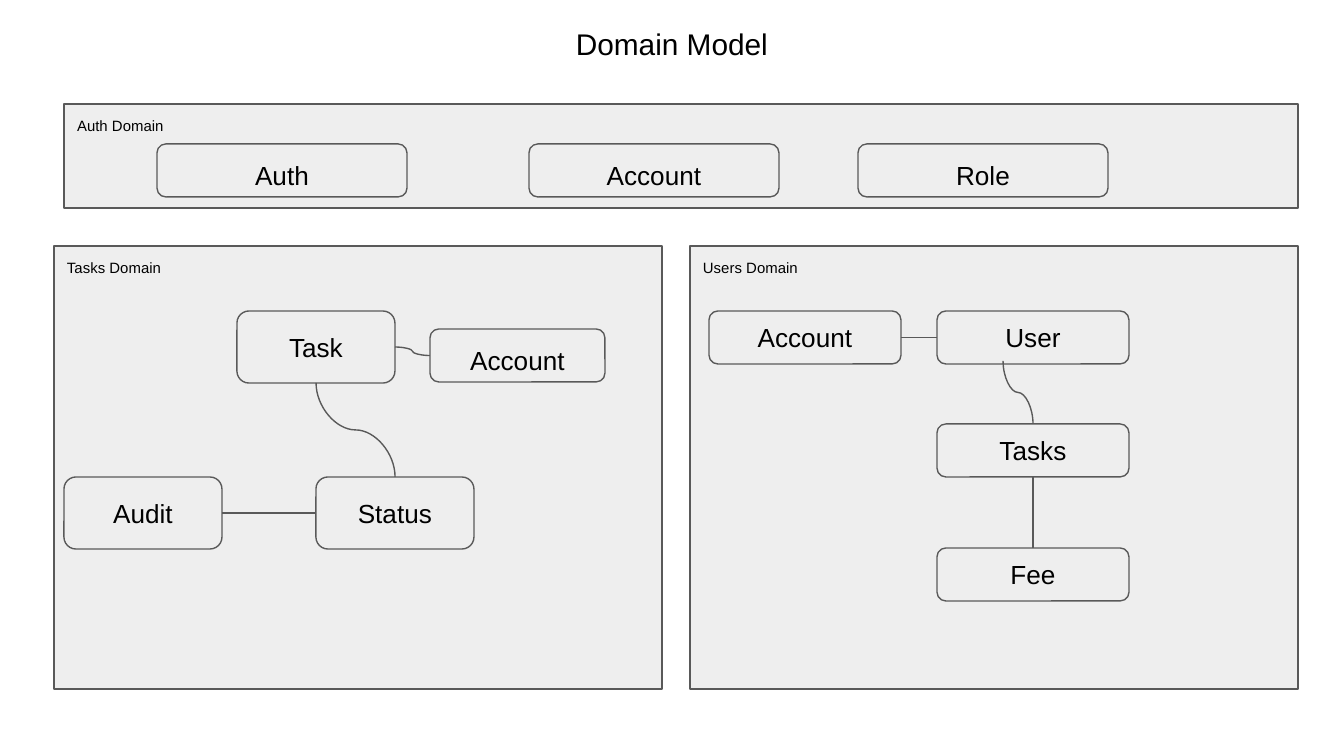
"""Builds a domain model slide with three domains and their linked entities."""
from lxml.etree import SubElement
from pptx import Presentation
from pptx.dml.color import RGBColor
from pptx.enum.shapes import MSO_CONNECTOR as Link, MSO_SHAPE as Shape
from pptx.enum.text import MSO_ANCHOR as Anchor, MSO_AUTO_SIZE as Fit, PP_ALIGN as Align
from pptx.oxml.ns import qn
from pptx.util import Emu, Pt

SCALE = 914400 / 134.4
BLACK = RGBColor(0x00, 0x00, 0x00)
GRAY = RGBColor(0x59, 0x59, 0x59)
PALE = RGBColor(0xEE, 0xEE, 0xEE)
TOP, LEFT, BOTTOM, RIGHT = range(4)


def px(size):
    return Emu(round(size * SCALE))


def write(shape, text, size, align, anchor):
    frame = shape.text_frame
    frame.text = text
    frame.word_wrap = True
    frame.auto_size = Fit.NONE
    frame.vertical_anchor = anchor
    frame.margin_left = frame.margin_right = px(13)
    frame.margin_top = frame.margin_bottom = px(13)
    para = frame.paragraphs[0]
    para.alignment = align
    font = para.runs[0].font
    font.name, font.size = "Arial", Pt(size)
    font.color.rgb = BLACK


def add_title(slide, text):
    title = slide.shapes.title
    title.left, title.top, title.width, title.height = map(px, (46, 13, 1252, 83))
    write(title, text, 16, Align.CENTER, Anchor.TOP)


def add_box(slide, kind, area):
    box = slide.shapes.add_shape(kind, *map(px, area))
    box.shadow.inherit = False
    box.fill.solid()
    box.fill.fore_color.rgb = PALE
    box.line.color.rgb = GRAY
    box.line.width = Pt(0.75)
    return box


def add_domain(slide, text, *area):
    box = add_box(slide, Shape.RECTANGLE, area)
    write(box, text, 8, Align.LEFT, Anchor.TOP)


def add_entity(slide, text, *area, anchor=Anchor.MIDDLE):
    box = add_box(slide, Shape.ROUNDED_RECTANGLE, area)
    write(box, text, 14, Align.CENTER, anchor)
    return box


def add_link(slide, kind, end, side, start=None, exit=None, point=(0, 0)):
    x, y = map(px, point)
    link = slide.shapes.add_connector(kind, x, y, x, y)
    link.line.color.rgb = GRAY
    link.line.width = Pt(0.75)
    SubElement(link._element.spPr, qn("a:effectLst"))
    if start is not None:
        link.begin_connect(start, exit)
    link.end_connect(end, side)
    return link


def turn(link):
    """Turns a curve so that it leaves and arrives vertically."""
    wide, high = link.width, link.height
    link.left += (wide - high) // 2
    link.top += (high - wide) // 2
    link.width, link.height = high, wide
    frame = link._element.spPr.find(qn("a:xfrm"))
    frame.set("rot", "16200000")
    frame.set("flipH", "1")


def add_auth(slide):
    add_domain(slide, "Auth Domain", 64, 104, 1234, 104)
    for text, x in (("Auth", 157), ("Account", 529), ("Role", 858)):
        add_entity(slide, text, x, 144, 250, 53, anchor=Anchor.TOP)


def add_tasks(slide):
    add_domain(slide, "Tasks Domain", 54, 246, 608, 443)
    task = add_entity(slide, "Task", 237, 311, 158, 72)
    account = add_entity(slide, "Account", 430, 329, 175, 53, anchor=Anchor.TOP)
    status = add_entity(slide, "Status", 316, 477, 158, 72)
    audit = add_entity(slide, "Audit", 64, 477, 158, 72)
    add_link(slide, Link.CURVE, account, LEFT, task, RIGHT)
    turn(add_link(slide, Link.CURVE, status, TOP, task, BOTTOM))
    add_link(slide, Link.STRAIGHT, status, LEFT, audit, RIGHT)


def add_users(slide):
    add_domain(slide, "Users Domain", 690, 246, 608, 443)
    account = add_entity(slide, "Account", 709, 311, 192, 53)
    user, tasks, fee = (
        add_entity(slide, text, 937, y, 192, 53)
        for text, y in (("User", 311), ("Tasks", 424), ("Fee", 548))
    )
    add_link(slide, Link.STRAIGHT, user, LEFT, account, RIGHT)
    turn(add_link(slide, Link.CURVE, tasks, TOP, point=(1003, 361)))
    add_link(slide, Link.STRAIGHT, fee, TOP, tasks, BOTTOM)


def main():
    deck = Presentation()
    deck.slide_width, deck.slide_height = px(1344), px(756)
    slide = deck.slides.add_slide(deck.slide_layouts[5])
    add_title(slide, "Domain Model")
    add_auth(slide)
    add_tasks(slide)
    add_users(slide)
    deck.save("out.pptx")


if __name__ == "__main__":
    main()
